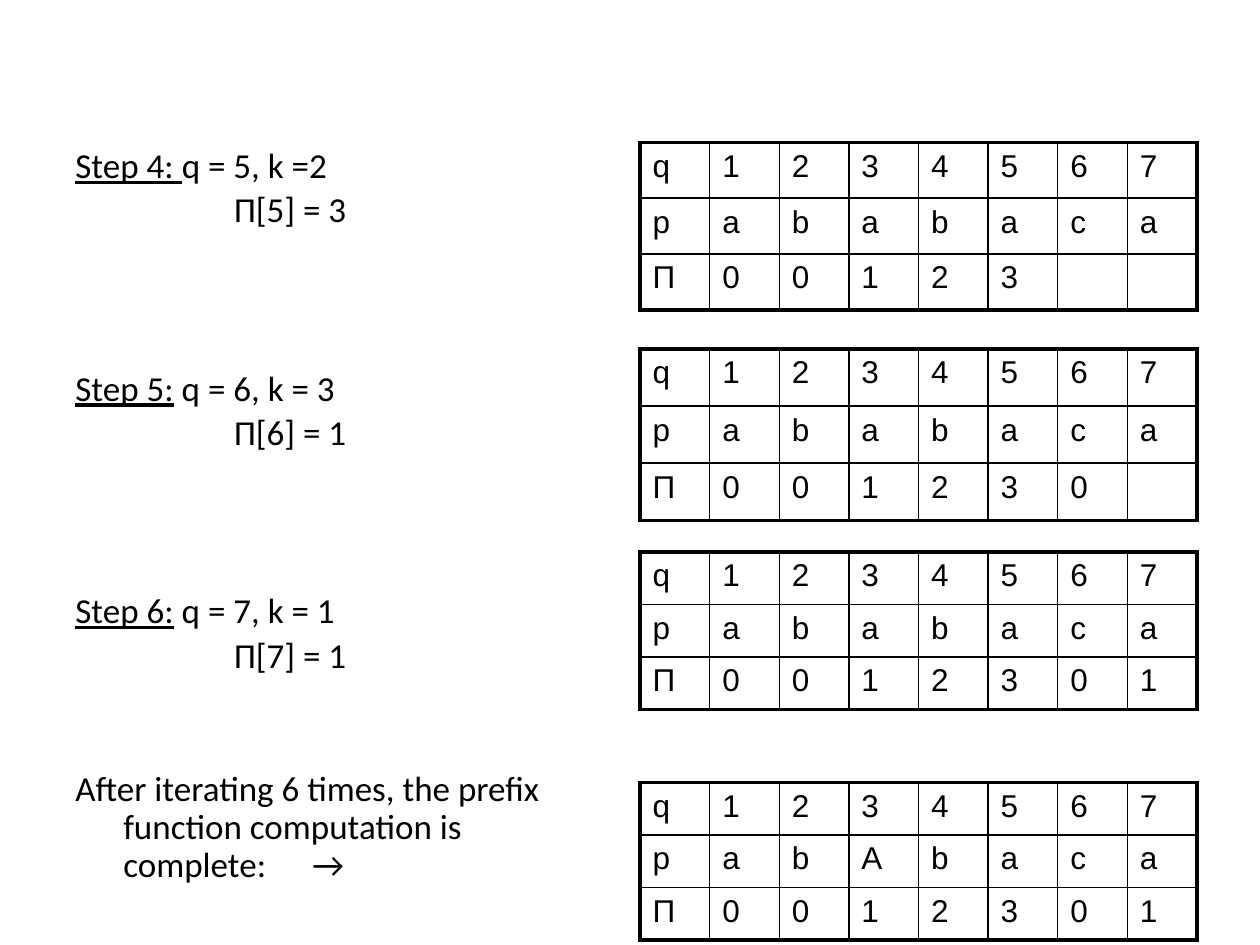
from dataclasses import dataclass

from lxml.etree import SubElement
from pptx import Presentation
from pptx.dml.color import RGBColor
from pptx.oxml.ns import qn
from pptx.util import Inches, Pt


@dataclass(frozen=True)
class Theme:
    ink: str = "000000"
    body_font: str = "Calibri"
    body_size: float = 20
    grid_font: str = "Arial"
    grid_size: float = 18
    outer_line: float = 2.25
    inner_line: float = 1


THEME = Theme()

# Underlined step label, its state, and the resulting prefix value
STEPS = [
    ("Step 4: ", "q = 5, k =2", "Π[5] = 3"),
    ("Step 5:", " q = 6, k = 3", "Π[6] = 1"),
    ("Step 6:", " q = 7, k = 1", "Π[7] = 1"),
]
CONCLUSION = "After iterating 6 times, the prefix function computation is complete:\t→"

# Top, height, pattern row and prefix values known so far
GRIDS = [
    (1.13, 1.33, "ababaca", "00123"),
    (2.77, 1.36, "ababaca", "001230"),
    (4.38, 1.25, "ababaca", "0012301"),
    (6.21, 1.25, "abAbaca", "0012301"),
]
POSITIONS = "1234567"
GRID_LEFT, GRID_WIDTH = 5.08, 4.42

HANGING = 0.38
RESULT_INDENT = 1.26
ARROW_TAB = 3.02
LINE_GAP, STEP_GAP, CONCLUSION_GAP = 3.6, 80.4, 54.8  # points before a paragraph


def style_run(run, font, size):
    run.font.name = font
    run.font.size = Pt(size)
    run.font.color.rgb = RGBColor.from_string(THEME.ink)


def add_line(frame, parts, left, first_indent, gap, tab=None):
    """Add a paragraph of (text, underlined) parts; the first one fills the empty paragraph."""
    is_first = not frame.text
    line = frame.paragraphs[0] if is_first else frame.add_paragraph()
    props = line._p.get_or_add_pPr()
    props.set("marL", str(Inches(left)))
    props.set("indent", str(Inches(first_indent)))
    line.line_spacing = 0.9
    line.space_before = Pt(0 if is_first else gap)
    if tab:
        stops = SubElement(props, qn("a:tabLst"))
        SubElement(stops, qn("a:tab"), pos=str(Inches(tab)), algn="l")
    for text, underlined in parts:
        run = line.add_run()
        run.text = text
        style_run(run, THEME.body_font, THEME.body_size)
        run.font.underline = underlined


def add_steps(slide):
    box = slide.shapes.add_textbox(Inches(0.5), Inches(1.13), Inches(4.42), Inches(6.2))
    frame = box.text_frame
    frame.word_wrap = True
    for label, state, result in STEPS:
        add_line(frame, [(label, True), (state, False)], HANGING, -HANGING, STEP_GAP)
        add_line(frame, [(result, False)], RESULT_INDENT, 0, LINE_GAP)
    add_line(frame, [(CONCLUSION, False)], HANGING, -HANGING, CONCLUSION_GAP, ARROW_TAB)


def set_borders(cell, outer_sides):
    props = cell._tc.get_or_add_tcPr()
    for index, side in enumerate(("lnL", "lnR", "lnT", "lnB")):
        width = THEME.outer_line if side in outer_sides else THEME.inner_line
        line = SubElement(props, qn(f"a:{side}"), w=str(Pt(width)))
        fill = SubElement(line, qn("a:solidFill"))
        SubElement(fill, qn("a:srgbClr"), val=THEME.ink)
        props.remove(line)
        props.insert(index, line)  # borders come before the fill


def add_grid(slide, top, height, pattern, prefix):
    rows = ["q" + POSITIONS, "p" + pattern, "Π" + prefix]
    last_row, last_col = len(rows) - 1, len(POSITIONS)
    grid = slide.shapes.add_table(
        len(rows), last_col + 1,
        Inches(GRID_LEFT), Inches(top), Inches(GRID_WIDTH), Inches(height),
    ).table
    grid.first_row = grid.horz_banding = False
    for r, values in enumerate(rows):
        for c, value in enumerate(values.ljust(last_col + 1)):
            cell = grid.cell(r, c)
            cell.fill.background()
            edges = {"lnL": c == 0, "lnR": c == last_col, "lnT": r == 0, "lnB": r == last_row}
            set_borders(cell, [side for side, is_outer in edges.items() if is_outer])
            cell.text_frame.text = value.strip()
            for run in cell.text_frame.paragraphs[0].runs:
                style_run(run, THEME.grid_font, THEME.grid_size)


def main():
    deck = Presentation()
    deck.slide_width, deck.slide_height = Inches(10), Inches(7.5)
    slide = deck.slides.add_slide(deck.slide_layouts[6])
    add_steps(slide)
    for grid in GRIDS:
        add_grid(slide, *grid)
    deck.save("out.pptx")


if __name__ == "__main__":
    main()
